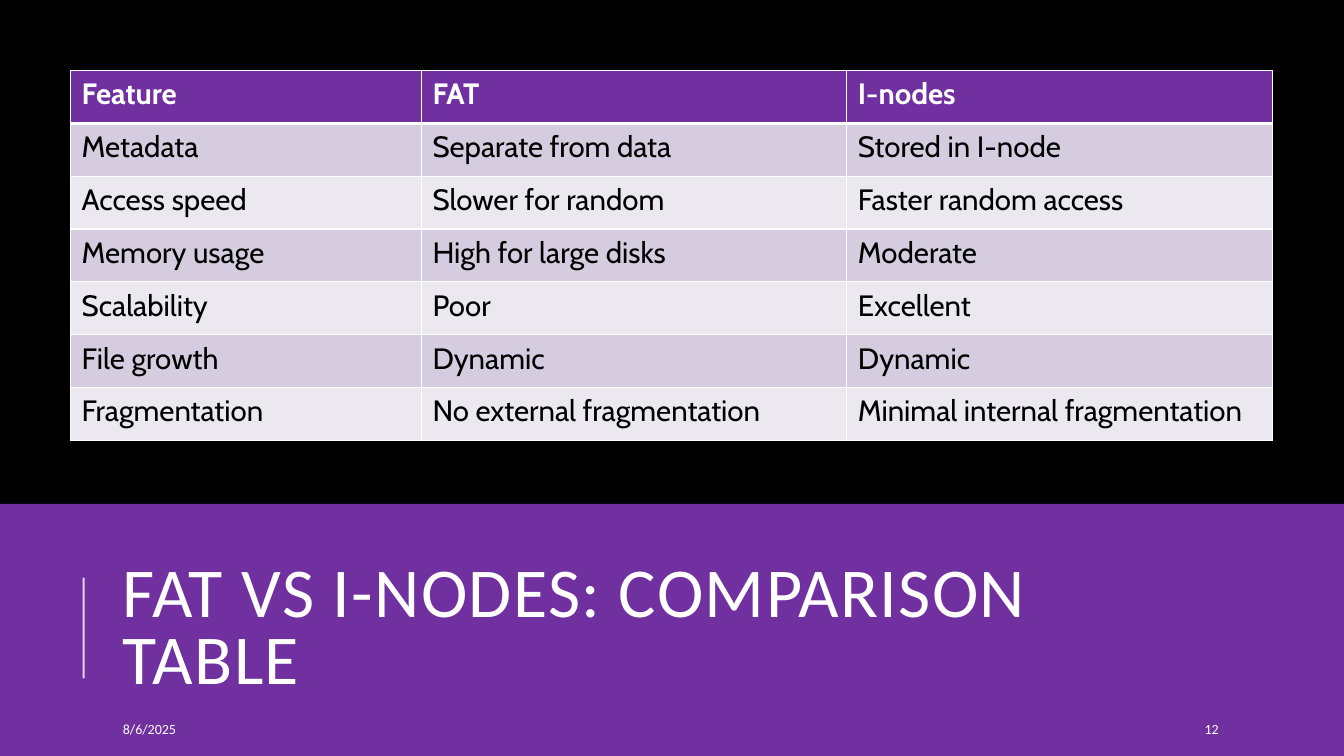
from lxml import etree
from pptx import Presentation
from pptx.dml.color import RGBColor
from pptx.enum.shapes import MSO_CONNECTOR, MSO_SHAPE
from pptx.enum.text import MSO_ANCHOR
from pptx.oxml.ns import qn
from pptx.util import Inches, Pt

RECTANGLE = MSO_SHAPE.RECTANGLE
STRAIGHT = MSO_CONNECTOR.STRAIGHT
MIDDLE = MSO_ANCHOR.MIDDLE

COLORS = {
    "background": "000000",
    "accent": "7030A0",
    "light": "FFFFFF",
    "dark": "000000",
    "band_odd": "D5CDDF",
    "band_even": "EBE8F0",
}
HEADING_FONT = "Calibri"
BODY_FONT = "Cabin"

COMPARISON = [
    ("Feature", "FAT", "I-nodes"),
    ("Metadata", "Separate from data", "Stored in I-node"),
    ("Access speed", "Slower for random", "Faster random access"),
    ("Memory usage", "High for large disks", "Moderate"),
    ("Scalability", "Poor", "Excellent"),
    ("File growth", "Dynamic", "Dynamic"),
    ("Fragmentation", "No external fragmentation", "Minimal internal fragmentation"),
]


def rgb(name):
    return RGBColor.from_string(COLORS[name])


def write(frame, text, font=HEADING_FONT, size=10, color="light", bold=False,
          line_spacing=None, space_after=None, tracking=None):
    paragraph = frame.paragraphs[0]
    if line_spacing is not None:
        paragraph.line_spacing = line_spacing
    if space_after is not None:
        paragraph.space_after = Pt(space_after)
    run = paragraph.add_run()
    run.text = text
    run.font.name = font
    run.font.size = Pt(size)
    run.font.bold = bold
    run.font.color.rgb = rgb(color)
    if tracking is not None:
        run.font._element.set("spc", str(int(tracking * 100)))


class SlideBuilder:
    """Hold the slide and its style, and add each kind of element."""

    def __init__(self, slide):
        self.slide = slide
        slide.background.fill.solid()
        slide.background.fill.fore_color.rgb = rgb("background")

    def panel(self, left, top, width, height, color):
        panel = self.slide.shapes.add_shape(
            RECTANGLE, Inches(left), Inches(top), Inches(width), Inches(height))
        panel.shadow.inherit = False
        panel.fill.solid()
        panel.fill.fore_color.rgb = rgb(color)
        panel.line.fill.background()

    def text(self, left, top, width, height, text, **style):
        box = self.slide.shapes.add_textbox(
            Inches(left), Inches(top), Inches(width), Inches(height))
        box.text_frame.word_wrap = True
        box.text_frame.vertical_anchor = MIDDLE
        write(box.text_frame, text, **style)

    def rule(self, x, start, end, color, width, opacity):
        rule = self.slide.shapes.add_connector(
            STRAIGHT, Inches(x), Inches(start), Inches(x), Inches(end))
        rule.line.color.rgb = rgb(color)
        rule.line.width = Pt(width)
        properties = rule._element.spPr
        shade = properties.find(".//" + qn("a:srgbClr"))
        etree.SubElement(shade, qn("a:alpha"), val=str(opacity * 1000))
        etree.SubElement(properties, qn("a:effectLst"))

    def borders(self, cell, color, widths):
        properties = cell._tc.get_or_add_tcPr()
        for index, (side, width) in enumerate(widths.items()):
            border = etree.Element(qn(f"a:ln{side}"), w=str(Pt(width)))
            fill = etree.SubElement(border, qn("a:solidFill"))
            etree.SubElement(fill, qn("a:srgbClr"), val=COLORS[color])
            properties.insert(index, border)

    def table(self, left, top, column_widths, height, rows):
        table = self.slide.shapes.add_table(
            len(rows), len(column_widths), Inches(left), Inches(top),
            Inches(sum(column_widths)), Inches(height)).table
        for column, width in zip(table.columns, column_widths):
            column.width = Inches(width)
        for row_index, values in enumerate(rows):
            header = row_index == 0
            band = "band_odd" if row_index % 2 else "band_even"
            widths = {"L": 1, "R": 1, "T": 3 if row_index == 1 else 1, "B": 3 if header else 1}
            for column_index, value in enumerate(values):
                cell = table.cell(row_index, column_index)
                cell.margin_left = cell.margin_right = Inches(0.11)
                cell.margin_top = cell.margin_bottom = Inches(0.06)
                cell.fill.solid()
                cell.fill.fore_color.rgb = rgb("accent" if header else band)
                write(cell.text_frame, value, font=BODY_FONT, size=21,
                      color="light" if header else "dark", bold=header)
                self.borders(cell, "light", widths)


def main():
    presentation = Presentation()
    presentation.slide_width = Inches(13.33)
    presentation.slide_height = Inches(7.5)
    builder = SlideBuilder(presentation.slides.add_slide(presentation.slide_layouts[6]))

    builder.panel(0, 5, 13.33, 2.5, "accent")
    builder.text(1.12, 5.44, 10.63, 1.64, "FAT VS I-NODES: COMPARISON TABLE",
                 size=50, line_spacing=0.8, tracking=1)
    builder.rule(0.83, 6.73, 5.73, "light", width=1.5, opacity=80)
    builder.text(1.12, 7.08, 2.36, 0.3, "8/6/2025", space_after=6)
    builder.text(11.85, 7.08, 1.06, 0.3, "12", space_after=6)
    builder.table(0.7, 0.7, (3.48, 4.22, 4.22), 3.67, COMPARISON)

    presentation.save("out.pptx")


if __name__ == "__main__":
    main()
